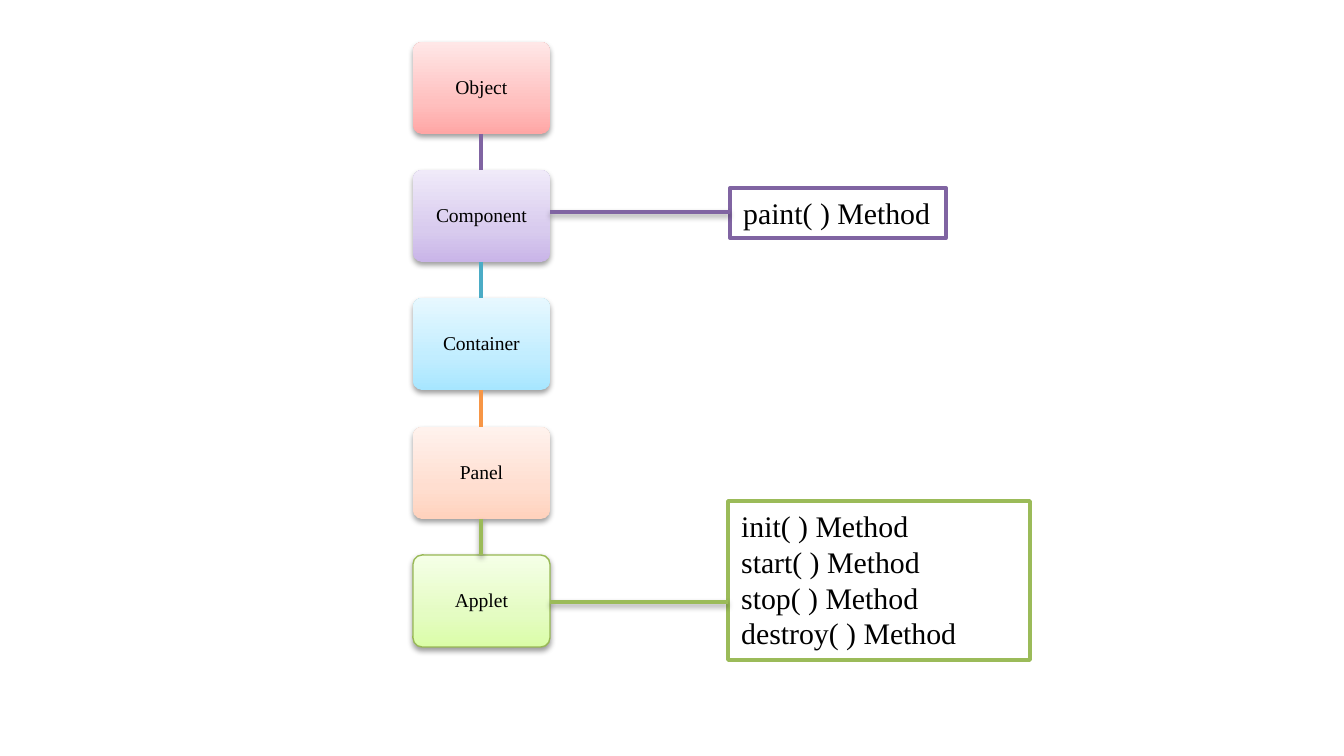
"""Applet class hierarchy with the methods that two of its classes supply."""
import copy
from typing import NamedTuple

import lxml.etree
import pptx
import pptx.dml.color
import pptx.enum.shapes
import pptx.enum.text
import pptx.oxml.ns
import pptx.util

SCALE = 914400 / 134.4
FONT = "Times New Roman"
BLACK, WHITE = "000000", "FFFFFF"
PURPLE, TEAL, ORANGE, GREEN = "8064A2", "4BACC6", "F79646", "9BBB59"
LINE_WIDTH = 2
CLASS_LEFT, CLASS_TOP, CLASS_WIDTH, CLASS_HEIGHT = 413, 42, 137, 92
CLASS_PITCH = 128.25


class ClassBox(NamedTuple):
    """One class, its gradient from bottom to top, and its outline."""
    name: str
    shades: tuple[str, str, str]
    outline: str = ""


class Link(NamedTuple):
    """The line from one class down to the next."""
    color: str
    shadowed: bool = False


class MethodBox(NamedTuple):
    """A list of methods, joined to a class by a line at link_y."""
    methods: tuple[str, ...]
    left: int
    top: int
    width: int
    height: int
    color: str
    link_y: int
    wrap: bool


CLASSES = [
    ClassBox("Object", ("FFA6A5", "FFC0BF", "FFE7E7")),
    ClassBox("Component", ("C9B5E8", "D8CBEE", "F0EAF9")),
    ClassBox("Container", ("A7E6FF", "C1EDFF", "E7F8FF")),
    ClassBox("Panel", ("FFD2BD", "FFDED0", "FFF2ED")),
    ClassBox("Applet", ("DAFDA7", "E4FCC2", "F5FFE7"), "98B955"),
]
LINKS = [Link(PURPLE), Link(TEAL), Link(ORANGE), Link(GREEN, True)]
METHOD_BOXES = [
    MethodBox(("init( ) Method", "start( ) Method", "stop( ) Method", "destroy( ) Method"),
              728, 501, 302, 159, GREEN, 602, True),
    MethodBox(("paint( ) Method",), 730, 188, 216, 50, PURPLE, 212, False),
]


def px(length: float) -> int:
    """Turn picture pixels into EMU."""
    return round(length * SCALE)


def rgb(color: str) -> pptx.dml.color.RGBColor:
    """Turn a hex string into a colour."""
    return pptx.dml.color.RGBColor.from_string(color)


def class_top(index: int) -> int:
    """Give the top of a class box in the column."""
    return round(CLASS_TOP + index * CLASS_PITCH)


def set_effects(shape, shadowed: bool) -> None:
    """Replace the theme's shadow by a soft one below, or by none."""
    qn = pptx.oxml.ns.qn
    effects = lxml.etree.SubElement(shape.element.spPr, qn("a:effectLst"))
    if shadowed:
        shadow = lxml.etree.SubElement(
            effects, qn("a:outerShdw"), blurRad=str(pptx.util.Pt(3.1)),
            dist=str(pptx.util.Pt(1.6)), dir="5400000", rotWithShape="0")
        color = lxml.etree.SubElement(shadow, qn("a:srgbClr"), val=BLACK)
        lxml.etree.SubElement(color, qn("a:alpha"), val="38000")


def set_line(line, color: str, width: float) -> None:
    """Set the colour and width of a line."""
    line.color.rgb = rgb(color)
    line.width = pptx.util.Pt(width)


def set_gradient(fill, shades: tuple[str, str, str]) -> None:
    """Fill with three shades running upwards."""
    fill.gradient()
    fill.gradient_angle = 90
    first = fill.gradient_stops[0].color
    first.rgb = rgb(shades[0])
    fill.gradient_stops[1].color.rgb = rgb(shades[2])
    stops = fill._fill._gradFill.gsLst
    stops.insert(1, copy.deepcopy(stops[0]))
    for stop, shade, position in zip(fill.gradient_stops, shades, (0, 0.35, 1)):
        stop.color.rgb = rgb(shade)
        stop.position = position


def write(frame, lines: tuple[str, ...], size: float, align) -> None:
    """Write one paragraph for each line."""
    frame.text = "\n".join(lines)
    for paragraph in frame.paragraphs:
        paragraph.alignment = align
        paragraph.font.name = FONT
        paragraph.font.size = pptx.util.Pt(size)
        paragraph.font.color.rgb = rgb(BLACK)


def add_link(slide, start: tuple[int, int], end: tuple[int, int],
             color: str, shadowed: bool) -> None:
    """Draw a straight line between two points."""
    link = slide.shapes.add_connector(
        pptx.enum.shapes.MSO_CONNECTOR.STRAIGHT, *map(px, start + end))
    set_line(link.line, color, LINE_WIDTH)
    set_effects(link, shadowed)


def add_class(slide, item: ClassBox, top: int) -> None:
    """Draw a class as a rounded box with its name."""
    box = slide.shapes.add_shape(
        pptx.enum.shapes.MSO_SHAPE.ROUNDED_RECTANGLE,
        px(CLASS_LEFT), px(top), px(CLASS_WIDTH), px(CLASS_HEIGHT))
    box.adjustments[0] = 0.1
    set_gradient(box.fill, item.shades)
    if item.outline:
        set_line(box.line, item.outline, 0.75)
    else:
        box.line.fill.background()
    set_effects(box, True)
    frame = box.text_frame
    frame.word_wrap = True
    frame.vertical_anchor = pptx.enum.text.MSO_ANCHOR.MIDDLE
    frame.margin_left = frame.margin_right = px(9)
    frame.margin_top = frame.margin_bottom = px(9)
    write(frame, (item.name,), 10.5, pptx.enum.text.PP_ALIGN.CENTER)
    frame.paragraphs[0].line_spacing = 0.9


def add_methods(slide, item: MethodBox) -> None:
    """Draw an outlined list of methods."""
    box = slide.shapes.add_shape(
        pptx.enum.shapes.MSO_SHAPE.RECTANGLE,
        px(item.left), px(item.top), px(item.width), px(item.height))
    box.fill.solid()
    box.fill.fore_color.rgb = rgb(WHITE)
    set_line(box.line, item.color, LINE_WIDTH)
    set_effects(box, False)
    frame = box.text_frame
    frame.word_wrap = item.wrap
    frame.auto_size = pptx.enum.text.MSO_AUTO_SIZE.SHAPE_TO_FIT_TEXT
    frame.vertical_anchor = pptx.enum.text.MSO_ANCHOR.TOP
    write(frame, item.methods, 16, pptx.enum.text.PP_ALIGN.LEFT)


def main() -> None:
    """Build the slide and save it."""
    deck = pptx.Presentation()
    deck.slide_width, deck.slide_height = px(1344), px(756)
    slide = deck.slides.add_slide(deck.slide_layouts[6])
    center = CLASS_LEFT + CLASS_WIDTH // 2
    for index, item in enumerate(CLASSES):
        add_class(slide, item, class_top(index))
    for index, link in enumerate(LINKS):
        add_link(slide, (center, class_top(index) + CLASS_HEIGHT),
                 (center, class_top(index + 1)), link.color, link.shadowed)
    for item in METHOD_BOXES:
        add_methods(slide, item)
    for item in METHOD_BOXES:
        add_link(slide, (CLASS_LEFT + CLASS_WIDTH, item.link_y),
                 (item.left, item.link_y), item.color, True)
    deck.save("out.pptx")


main()
